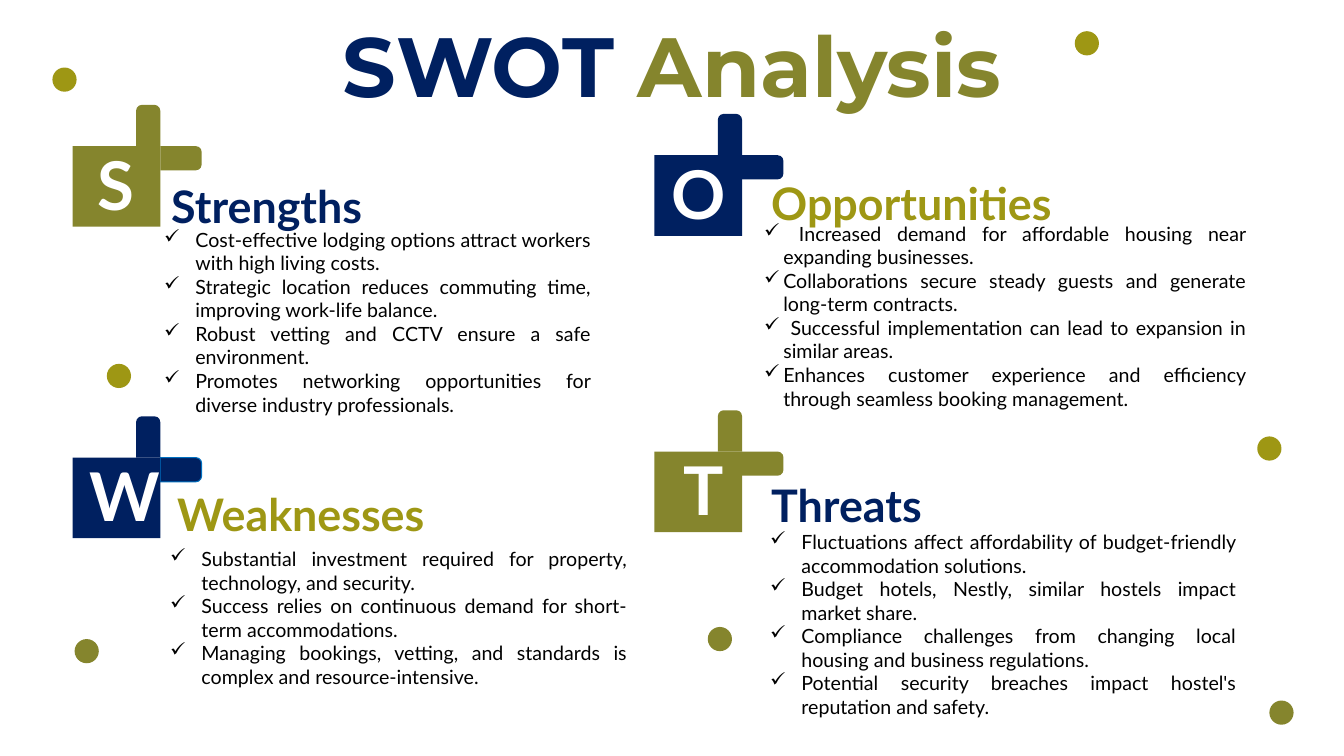
from dataclasses import dataclass

from lxml.etree import SubElement
from pptx import Presentation
from pptx.dml.color import RGBColor
from pptx.enum.shapes import MSO_SHAPE as Shape
from pptx.enum.text import PP_ALIGN as Align
from pptx.oxml.ns import qn
from pptx.util import Inches, Pt


@dataclass(frozen=True)
class Theme:
    navy: str = "002060"
    olive: str = "85852D"
    lime: str = "9E9714"
    blue: str = "0070C0"
    white: str = "FFFFFF"
    black: str = "000000"
    body_font: str = "Lato"
    title_font: str = "Montserrat"
    title_size: int = 60
    letter_size: int = 48
    heading_size: int = 32
    body_size: int = 14


THEME = Theme()


def write(para, text, *, size, color, font=THEME.body_font, bold=False, align=Align.LEFT):
    """Add a formatted run to a paragraph."""
    para.alignment = align
    span = para.add_run()
    span.text = text
    span.font.name = font
    span.font.size = Pt(size)
    span.font.bold = bold
    span.font.color.rgb = RGBColor.from_string(color)


def add_check(para, indent):
    """Give a paragraph a hanging check mark."""
    props = para._p.get_or_add_pPr()
    props.set("marL", str(Inches(indent)))
    props.set("indent", str(-Inches(indent)))
    SubElement(props, qn("a:buChar")).set("char", "✓")


class SwotSlide:
    SQUARE_WIDTH, SQUARE_HEIGHT = 0.87, 0.8
    ARM_WIDTH, ARM_LENGTH = 0.24, 0.41
    DOT = 0.24

    def __init__(self, page, theme):
        self.page = page
        self.theme = theme

    def shape(self, kind, left, top, width, height, color, line=None):
        item = self.page.shapes.add_shape(
            kind, Inches(left), Inches(top), Inches(width), Inches(height))
        item.shadow.inherit = False
        item.fill.solid()
        item.fill.fore_color.rgb = RGBColor.from_string(color)
        if line:
            item.line.color.rgb = RGBColor.from_string(line)
            item.line.width = Pt(0.75)
        else:
            item.line.fill.background()
        return item

    def box(self, left, top, width, height):
        frame = self.page.shapes.add_textbox(
            Inches(left), Inches(top), Inches(width), Inches(height)).text_frame
        frame.word_wrap = True
        return frame

    def dot(self, left, top, color):
        self.shape(Shape.OVAL, left, top, self.DOT, self.DOT, color)

    def title(self, left, top, width, height, parts):
        para = self.box(left, top, width, height).paragraphs[0]
        for text, color in parts:
            write(para, text, size=self.theme.title_size, color=color, bold=True,
                  font=self.theme.title_font, align=Align.CENTER)

    def badge(self, left, top, color, letter, letter_left, letter_width, arm_line=None):
        """Draw a lettered square with an arm up and an arm to the right."""
        right = left + self.SQUARE_WIDTH
        up_left, up_top = right - self.ARM_WIDTH, top - self.ARM_LENGTH
        # The side arm is the upper arm turned a quarter around its centre
        turn = (self.ARM_LENGTH - self.ARM_WIDTH) / 2
        for arm_left, arm_top, angle, line in (
                (up_left, up_top, 0, None),
                (right + turn, top - turn, 90, arm_line)):
            arm = self.shape(Shape.ROUND_2_SAME_RECTANGLE, arm_left, arm_top,
                             self.ARM_WIDTH, self.ARM_LENGTH, color, line)
            arm.adjustments[0] = 0.24
            arm.rotation = angle
        self.shape(Shape.RECTANGLE, left, top,
                   self.SQUARE_WIDTH, self.SQUARE_HEIGHT, color)
        para = self.box(letter_left, top - 0.08, letter_width, 0.91).paragraphs[0]
        write(para, letter, size=self.theme.letter_size, color=self.theme.white,
              bold=True, align=Align.CENTER)

    def heading(self, left, top, width, text, color):
        para = self.box(left, top, width, 0.64).paragraphs[0]
        write(para, text, size=self.theme.heading_size, color=color, bold=True)

    def checklist(self, left, top, width, height, items, indent=0.31):
        frame = self.box(left, top, width, height)
        for index, item in enumerate(items):
            para = frame.add_paragraph() if index else frame.paragraphs[0]
            add_check(para, indent)
            write(para, item, size=self.theme.body_size, color=self.theme.black,
                  align=Align.JUSTIFY)


QUADRANTS = [
    dict(badge=dict(left=0.72, top=1.45, color=THEME.olive, letter="S",
                    letter_left=0.87, letter_width=0.55),
         heading=(1.6, 1.72, 2.48, "Strengths", THEME.navy),
         checklist=dict(left=1.53, top=2.21, width=4.43, height=1.96, items=[
             "Cost-effective lodging options attract workers with high living costs.",
             "Strategic location reduces commuting time, improving work-life balance.",
             "Robust vetting and CCTV ensure a safe environment.",
             "Promotes networking opportunities for diverse industry professionals."])),
    dict(badge=dict(left=0.72, top=4.54, color=THEME.navy, letter="W",
                    letter_left=0.79, letter_width=0.88, arm_line=THEME.blue),
         heading=(1.66, 4.78, 2.8, "Weaknesses", THEME.lime),
         checklist=dict(left=1.59, top=5.38, width=4.73, height=1.51, items=[
             "Substantial investment required for property, technology, and security.",
             "Success relies on continuous demand for short-term accommodations.",
             "Managing bookings, vetting, and standards is complex and "
             "resource-intensive."])),
    dict(badge=dict(left=6.49, top=1.54, color=THEME.navy, letter="O",
                    letter_left=6.56, letter_width=0.71),
         heading=(7.55, 1.69, 3.05, "Opportunities", THEME.lime),
         checklist=dict(left=7.48, top=2.15, width=4.98, height=1.99, indent=0.19, items=[
             " Increased demand for affordable housing near expanding businesses.",
             "Collaborations secure steady guests and generate long-term contracts.",
             " Successful implementation can lead to expansion in similar areas.",
             "Enhances customer experience and efficiency through seamless booking "
             "management."])),
    dict(badge=dict(left=6.49, top=4.48, color=THEME.olive, letter="T",
                    letter_left=6.68, letter_width=0.57),
         heading=(7.55, 4.69, 1.73, "Threats", THEME.navy),
         checklist=dict(left=7.54, top=5.21, width=4.82, height=1.99, items=[
             "Fluctuations affect affordability of budget-friendly accommodation "
             "solutions.",
             "Budget hotels, Nestly, similar hostels impact market share.",
             "Compliance challenges from changing local housing and business "
             "regulations.",
             "Potential security breaches impact hostel's reputation and safety."])),
]

DOTS = {
    THEME.lime: [(0.52, 0.67), (10.66, 0.31), (12.47, 4.33), (1.06, 3.61)],
    THEME.olive: [(7.02, 6.22), (12.59, 6.95), (0.74, 6.34)],
}


def main():
    deck = Presentation()
    deck.slide_width, deck.slide_height = Inches(13.33), Inches(7.5)
    swot = SwotSlide(deck.slides.add_slide(deck.slide_layouts[6]), THEME)

    # Scattered dots
    for color, places in DOTS.items():
        for left, top in places:
            swot.dot(left, top, color)

    # Title
    swot.title(2.78, 0.08, 7.77, 1.11,
               [("SWOT ", THEME.navy), ("Analysis", THEME.olive)])

    # Four quadrants
    for quadrant in QUADRANTS:
        swot.badge(**quadrant["badge"])
        swot.heading(*quadrant["heading"])
        swot.checklist(**quadrant["checklist"])

    deck.save("out.pptx")


if __name__ == "__main__":
    main()
